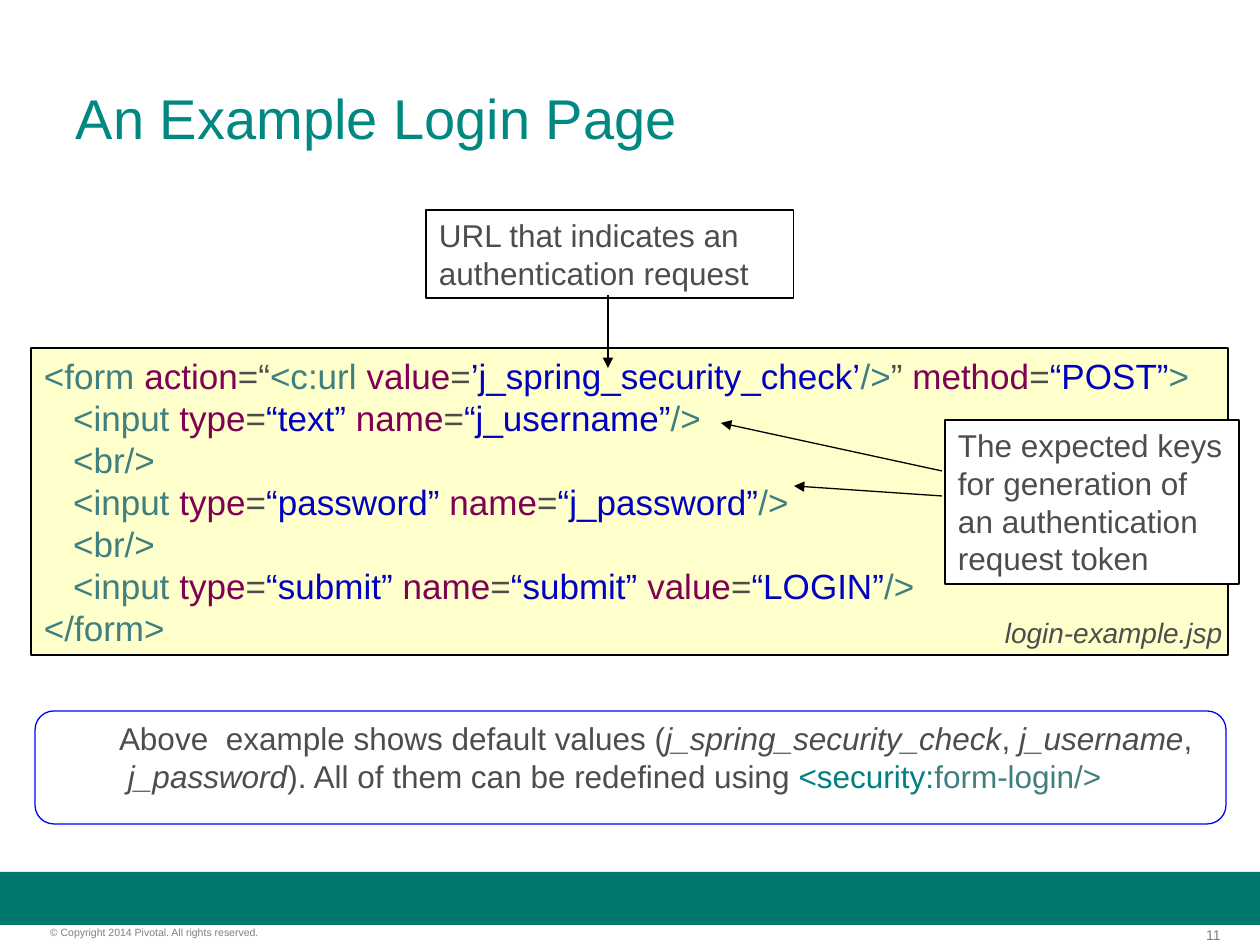
from lxml.etree import SubElement
from pptx import Presentation
from pptx.dml.color import RGBColor
from pptx.enum.shapes import MSO_CONNECTOR as Connector, MSO_SHAPE as Shape
from pptx.enum.text import MSO_ANCHOR as Anchor, PP_ALIGN as Align
from pptx.oxml.ns import qn
from pptx.util import Pt

PX = 914400 // 126  # EMU in one px
LINE_PITCH = 1.2

BLACK = RGBColor(0x00, 0x00, 0x00)
WHITE = RGBColor(0xFF, 0xFF, 0xFF)
GREEN = RGBColor(0x00, 0x78, 0x6E)
TITLE = RGBColor(0x00, 0x88, 0x81)
GREY = RGBColor(0x7F, 0x7F, 0x7F)
TEXT = RGBColor(0x4D, 0x4D, 0x4D)
CREAM = RGBColor(0xFF, 0xFF, 0xCC)
BLUE = RGBColor(0x00, 0x00, 0xFF)
TEAL = RGBColor(0x00, 0x80, 0x80)
TAG = RGBColor(0x3F, 0x7F, 0x7F)
ATTRIBUTE = RGBColor(0x7F, 0x00, 0x55)
STRING = RGBColor(0x00, 0x00, 0xC0)

ITALIC = {"italic": True}


def tag(text):
    return text, {"color": TAG}


def attribute(name, value):
    return [(name, {"color": ATTRIBUTE}), ("=", {}), (value, {"color": STRING})]


def input_line(**attributes):
    runs = [tag("   <input ")]
    last = list(attributes)[-1]
    for name, value in attributes.items():
        runs += attribute(name, f"“{value}”" + ("" if name == last else " "))
    return runs + [tag("/>")]


# Content: a text is a list of lines, a line is a list of (words, format) runs
LINE_BREAK = [tag("   <br/>")]
CODE = [
    [tag("<form "), ("action", {"color": ATTRIBUTE}), ("=“", {}), tag("<c:url "),
     *attribute("value", "’j_spring_security_check’"), tag("/>"), ("” ", {}),
     *attribute("method", "“POST”"), tag(">")],
    input_line(type="text", name="j_username"),
    LINE_BREAK,
    input_line(type="password", name="j_password"),
    LINE_BREAK,
    input_line(type="submit", name="submit", value="LOGIN"),
    [tag("</form>")],
]
NOTE = [
    [("Above  example shows default values (", {}), ("j_spring_security_check", ITALIC),
     (", ", {}), ("j_username", ITALIC), (",", {})],
    [("j_password", ITALIC), ("). All of them can be redefined using ", {}),
     ("<security:", {"color": TEAL}), tag("form-login/>")],
]
NOTE_INDENTS = [81, 90]
URL_CALLOUT = [[("URL that indicates an authentication request", {})]]
KEYS_CALLOUT = [[("The expected keys for generation of an authentication request token", {})]]

# Arrows: start and end in px
URL_ARROW = ((608, 295), (608, 368))
KEY_ARROWS = [((942, 471), (721, 423)), ((942, 496), (794, 486))]


def place(*lengths):
    return [length * PX for length in lengths]


def write(shape, lines, size, color=TEXT, align=Align.LEFT, anchor=Anchor.TOP,
          inset=(13, 6), indents=None):
    frame = shape.text_frame
    across, down = place(*inset)
    settings = {"word_wrap": True, "vertical_anchor": anchor,
                "margin_left": across, "margin_right": across,
                "margin_top": down, "margin_bottom": down}
    for name, value in settings.items():
        setattr(frame, name, value)
    for index, runs in enumerate(lines):
        paragraph = frame.add_paragraph() if index else frame.paragraphs[0]
        paragraph.alignment = align
        paragraph.line_spacing = Pt(size * LINE_PITCH)
        if indents:
            paragraph._p.get_or_add_pPr().set("marL", str(indents[index] * PX))
        for words, run_format in runs:
            run = paragraph.add_run()
            run.text = words
            run.font.color.rgb = run_format.get("color", color)
            font = {"name": "Arial", "size": Pt(size),
                    "italic": run_format.get("italic", False)}
            for name, value in font.items():
                setattr(run.font, name, value)


def add_box(slide, box, fill=None, line=None, width=0.75, kind=Shape.RECTANGLE):
    shape = slide.shapes.add_shape(kind, *place(*box))
    shape.shadow.inherit = False
    if fill is None:
        shape.fill.background()
    else:
        shape.fill.solid()
        shape.fill.fore_color.rgb = fill
    if line is None:
        shape.line.fill.background()
    else:
        shape.line.color.rgb = line
        shape.line.width = Pt(width)
    return shape


def add_text(slide, box, lines, size, **options):
    write(slide.shapes.add_textbox(*place(*box)), lines, size, **options)


def add_arrow(slide, start, end):
    arrow = slide.shapes.add_connector(Connector.STRAIGHT, *place(*start, *end))
    arrow.line.color.rgb = BLACK
    arrow.line.width = Pt(0.75)
    SubElement(arrow.line._get_or_add_ln(), qn("a:tailEnd"), type="triangle")
    SubElement(arrow._element.spPr, qn("a:effectLst"))


def main():
    presentation = Presentation()
    presentation.slide_width, presentation.slide_height = place(1260, 945)
    slide = presentation.slides.add_slide(presentation.slide_layouts[6])

    # Footer
    add_box(slide, (0, 872, 1260, 53), fill=GREEN)
    add_text(slide, (1177, 926, 73, 17), [[("11", {})]], 8, color=GREY,
             align=Align.CENTER, inset=(0, 0))
    add_text(slide, (50, 926, 314, 13),
             [[("© Copyright 2014 Pivotal. All rights reserved.", {})]], 6,
             color=GREY, inset=(0, 0))

    # Title
    add_text(slide, (63, 38, 1134, 158), [[("An Example Login Page", {})]], 32,
             color=TITLE, anchor=Anchor.MIDDLE)

    # Code listing
    write(add_box(slide, (31, 348, 1197, 307), CREAM, BLACK, 1), CODE, 20)

    # Callout for the expected keys
    write(add_box(slide, (945, 420, 294, 164), WHITE, BLACK), KEYS_CALLOUT, 18)
    for start, end in KEY_ARROWS:
        add_arrow(slide, start, end)

    # Callout for the URL
    write(add_box(slide, (426, 210, 368, 88), WHITE, BLACK), URL_CALLOUT, 18)
    add_arrow(slide, *URL_ARROW)

    # Note on default values
    add_box(slide, (35, 711, 1191, 113), line=BLUE, width=0, kind=Shape.ROUNDED_RECTANGLE)
    add_text(slide, (25, 713, 1216, 106), NOTE, 18, indents=NOTE_INDENTS)

    # File name
    add_text(slide, (992, 610, 258, 48), [[("login-example.jsp", ITALIC)]], 16)

    presentation.save("out.pptx")


if __name__ == "__main__":
    main()
